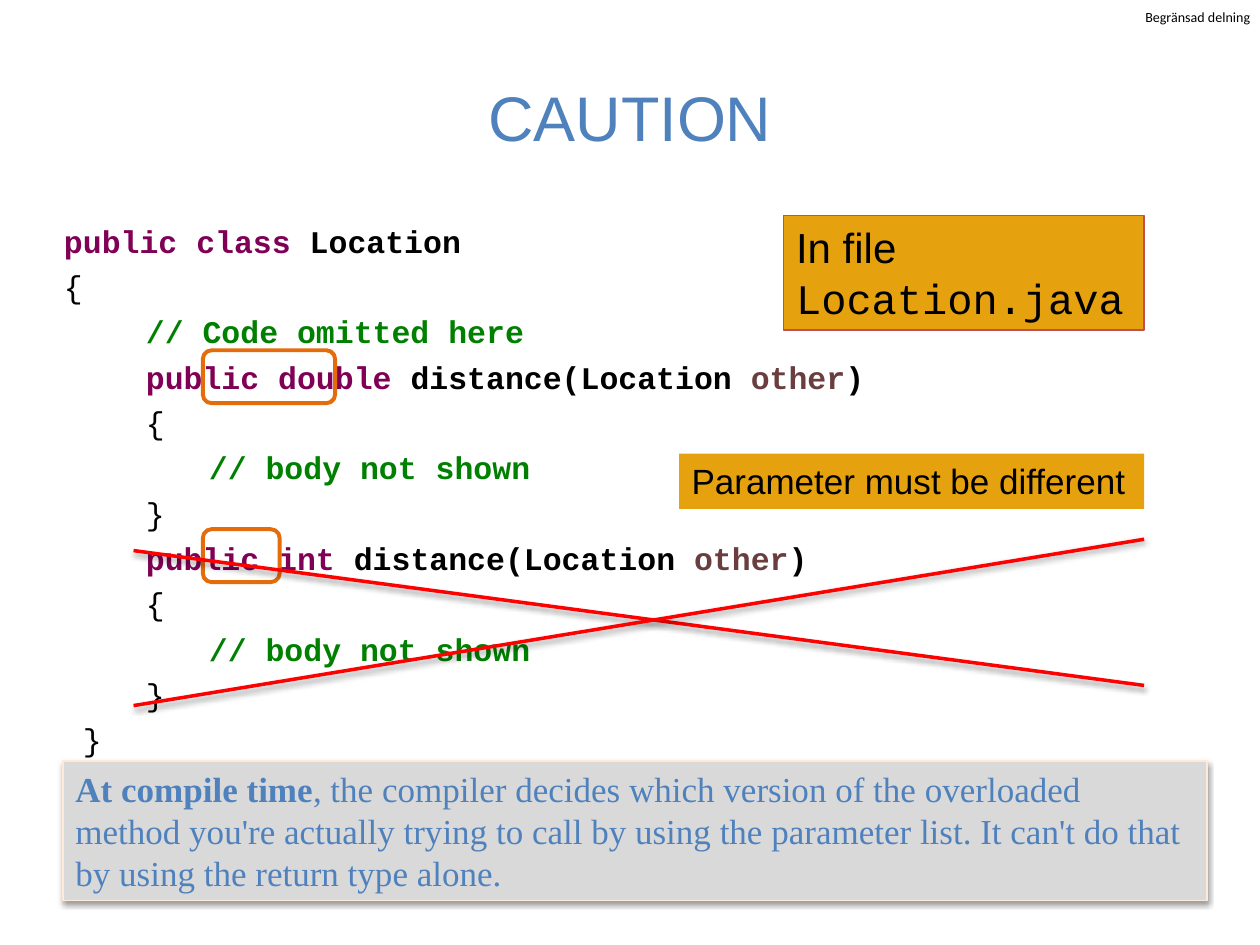
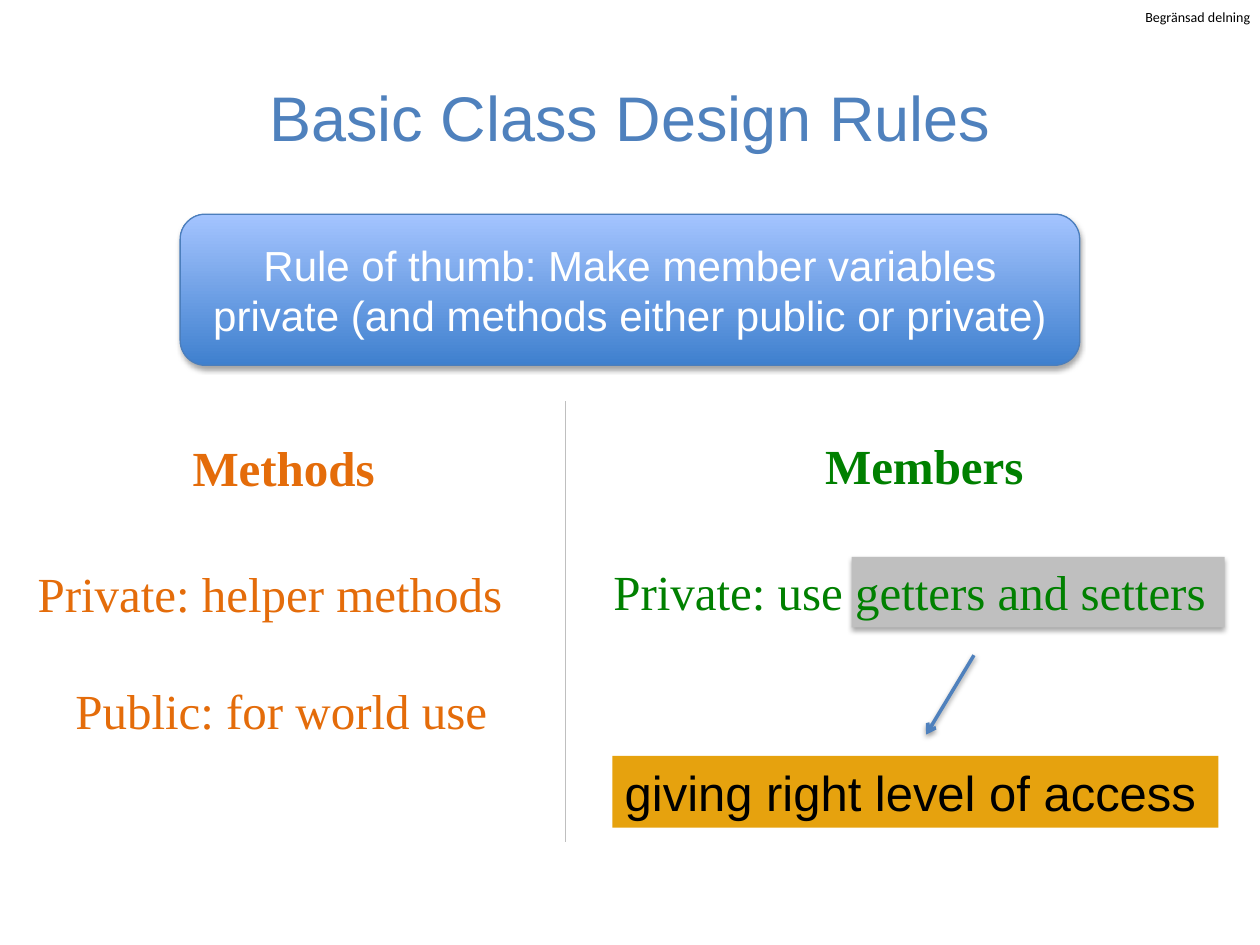
from lxml.etree import SubElement
from pptx import Presentation
from pptx.dml.color import RGBColor
from pptx.enum.shapes import MSO_CONNECTOR, MSO_SHAPE
from pptx.enum.text import MSO_ANCHOR, PP_ALIGN
from pptx.oxml.ns import qn
from pptx.util import Inches, Pt

BLACK = RGBColor(0x00, 0x00, 0x00)
WHITE = RGBColor(0xFF, 0xFF, 0xFF)
BLUE = RGBColor(0x4F, 0x81, 0xBD)
EDGE = RGBColor(0x4B, 0x7E, 0xBC)
DEEP = RGBColor(0x3F, 0x80, 0xCE)
PALE = RGBColor(0xA4, 0xC4, 0xFF)
GOLD = RGBColor(0xE6, 0xA2, 0x0E)
ORANGE = RGBColor(0xE4, 0x6C, 0x0A)
GREEN = RGBColor(0x00, 0x80, 0x00)
RED = RGBColor(0xFF, 0x00, 0x00)
BRICK = RGBColor(0xC0, 0x50, 0x4D)
CREAM = RGBColor(0xFD, 0xEA, 0xDA)
PURPLE = RGBColor(0x7F, 0x00, 0x55)
BROWN = RGBColor(0x6A, 0x3E, 0x3E)
LIGHT = RGBColor(0xD9, 0xD9, 0xD9)
GRAY = RGBColor(0xBF, 0xBF, 0xBF)

SANS, SERIF, MONO = "Arial", "Times New Roman", "Courier New"
SOFT = (38, 1.6)  # shadow strength in percent, distance in points
DEEPER = (35, 1.8)


def write(shape, lines, size=18, font=SANS, color=BLACK, bold=False,
          align=PP_ALIGN.LEFT, anchor=MSO_ANCHOR.TOP, wrap=True,
          spacing=None, tabs=()):
    """Fill a shape; each line is a string or a list of (text, changes) runs."""
    frame = shape.text_frame
    frame.word_wrap = wrap
    frame.vertical_anchor = anchor
    base = dict(size=size, font=font, color=color, bold=bold)
    for i, line in enumerate(lines):
        para = frame.add_paragraph() if i else frame.paragraphs[0]
        para.alignment = align
        if spacing:
            para.line_spacing = spacing
        if tabs:
            stops = SubElement(para._p.get_or_add_pPr(), qn("a:tabLst"))
            for stop in tabs:
                SubElement(stops, qn("a:tab"), pos=str(Inches(stop)), algn="l")
        for words, change in [(line, {})] if isinstance(line, str) else line:
            look = {**base, **change}
            run = para.add_run()
            run.text = words
            run.font.size = Pt(look["size"])
            run.font.name = look["font"]
            run.font.bold = look["bold"]
            run.font.color.rgb = look["color"]


def cast(shape, shade=None):
    """Replace the theme shadow by the given one, or by none."""
    effects = SubElement(shape._element.spPr, qn("a:effectLst"))
    if shade:
        alpha, gap = shade
        outer = SubElement(effects, qn("a:outerShdw"), blurRad=str(Pt(3.1)),
                           dist=str(Pt(gap)), dir="5400000", rotWithShape="0")
        tint = SubElement(outer, qn("a:srgbClr"), val=str(BLACK))
        SubElement(tint, qn("a:alpha"), val=str(alpha * 1000))


def label(slide, left, top, width, height, lines, **form):
    box = slide.shapes.add_textbox(*map(Inches, (left, top, width, height)))
    write(box, lines, **form)
    return box


def panel(slide, left, top, width, height, fill=None, line=None, weight=0.75,
          shade=None, kind=MSO_SHAPE.RECTANGLE, lines=(), **form):
    """Add a shape; a pair of fill colours runs from bottom to top."""
    shape = slide.shapes.add_shape(
        kind, *map(Inches, (left, top, width, height)))
    if fill is None:
        shape.fill.background()
    elif isinstance(fill, RGBColor):
        shape.fill.solid()
        shape.fill.fore_color.rgb = fill
    else:
        shape.fill.gradient()
        shape.fill.gradient_angle = 90
        for i, color in enumerate(fill):
            stop = shape.fill.gradient_stops[i]
            stop.color.rgb = color
            stop.position = i
    if line is None:
        shape.line.fill.background()
    else:
        shape.line.color.rgb = line
        shape.line.width = Pt(weight)
    cast(shape, shade)
    write(shape, lines, **form)


def stroke(slide, start, end, color, weight, shade=None, arrow=False):
    link = slide.shapes.add_connector(
        MSO_CONNECTOR.STRAIGHT, *map(Inches, start + end))
    link.line.color.rgb = color
    link.line.width = Pt(weight)
    if arrow:
        SubElement(link.line._get_or_add_ln(), qn("a:tailEnd"), type="arrow")
    cast(link, shade)


def start(deck, title):
    """Add a slide with its title and the sharing notice."""
    slide = deck.slides.add_slide(deck.slide_layouts[5])
    head = slide.shapes.title
    head.left, head.top, head.width, head.height = map(
        Inches, (0.5, 0.3, 9, 1.25))
    write(head, [title], size=36, color=BLUE, align=PP_ALIGN.CENTER,
          anchor=MSO_ANCHOR.MIDDLE)
    note = label(slide, 9.09, 0.07, 0.86, 0.13, ["Begränsad delning"],
                 size=8, font="Calibri", wrap=False)
    frame = note.text_frame
    frame.margin_left = frame.margin_right = 0
    frame.margin_top = frame.margin_bottom = 0
    return slide


def method(kind):
    """Give the code lines of a distance method that returns this type."""
    key = dict(color=PURPLE)
    return [
        [("\t ", {}), (f"public {kind}", key), (" distance(Location ", {}),
         ("other", dict(color=BROWN)), (")", {})],
        [("\t {", dict(bold=False))],
        [("\t\t ", {}), ("// body not shown", dict(color=GREEN))],
        [("\t }", dict(bold=False))],
    ]


def caution(deck):
    slide = start(deck, "CAUTION")
    plain = dict(bold=False)
    code = [
        [("public class", dict(color=PURPLE)), (" Location", {})],
        [("{", plain)],
        [("\t ", {}), ("// Code omitted here", dict(color=GREEN))],
        *method("double"),
        *method("int"),
        [(" }", plain)],
    ]
    label(slide, 0.41, 1.65, 9.37, 4.45, code, font=MONO, bold=True,
          spacing=1.2, tabs=(0.5, 1))
    panel(slide, 6.22, 1.71, 2.86, 0.91, GOLD, BRICK, size=24,
          lines=[[("In file ", {}), ("Location.java", dict(font=MONO))]])
    rule = (", the compiler decides which version of the overloaded method "
            "you're actually trying to call by using the parameter list. "
            "It can't do that by using the return type alone.")
    panel(slide, 0.5, 6.04, 9.08, 1.11, LIGHT, CREAM, shade=SOFT, size=20,
          font=SERIF, color=BLUE,
          lines=[[("At compile time", dict(bold=True)), (rule, {})]])
    for top, width in ((2.78, 1.05), (4.2, 0.61)):
        panel(slide, 1.61, top, width, 0.42, line=ORANGE, weight=2.25,
              kind=MSO_SHAPE.ROUNDED_RECTANGLE)
    for left, right in ((4.37, 5.44), (5.6, 4.28)):
        stroke(slide, (1.06, left), (9.08, right), RED, 2, SOFT)
    panel(slide, 5.39, 3.6, 3.69, 0.44, GOLD, size=20,
          lines=["Parameter must be different"])


def rules(deck):
    slide = start(deck, "Basic Class Design Rules")
    panel(slide, 6.76, 4.42, 2.96, 0.56, GRAY, shade=DEEPER)
    for left, top, width, words, color, bold in (
            (0.2, 4.42, 4.12, "Private: helper methods", ORANGE, False),
            (0.5, 5.35, 3.69, "Public: for world use", ORANGE, False),
            (1.43, 3.42, 1.66, "Methods", ORANGE, True),
            (6.45, 3.41, 1.79, "Members", GREEN, True),
            (4.77, 4.41, 5.14, "Private: use getters and setters", GREEN,
             False)):
        label(slide, left, top, width, 0.57, [words], size=28, font=SERIF,
              color=color, bold=bold, wrap=False)
    stroke(slide, (4.49, 6.68), (4.49, 3.18), GRAY, 0.25)
    panel(slide, 4.86, 6, 4.81, 0.57, GOLD, size=28,
          lines=["giving right level of access"])
    stroke(slide, (7.73, 5.2), (7.35, 5.83), BLUE, 2, SOFT, arrow=True)
    panel(slide, 1.43, 1.7, 7.14, 1.2, (DEEP, PALE), EDGE, shade=DEEPER,
          kind=MSO_SHAPE.ROUNDED_RECTANGLE, size=24, color=WHITE,
          align=PP_ALIGN.CENTER, anchor=MSO_ANCHOR.MIDDLE,
          lines=["Rule of thumb: Make member variables private "
                 "(and methods either public or private)"])


def main():
    deck = Presentation()
    deck.slide_width, deck.slide_height = Inches(10), Inches(7.5)
    caution(deck)
    rules(deck)
    deck.save("out.pptx")


if __name__ == "__main__":
    main()
